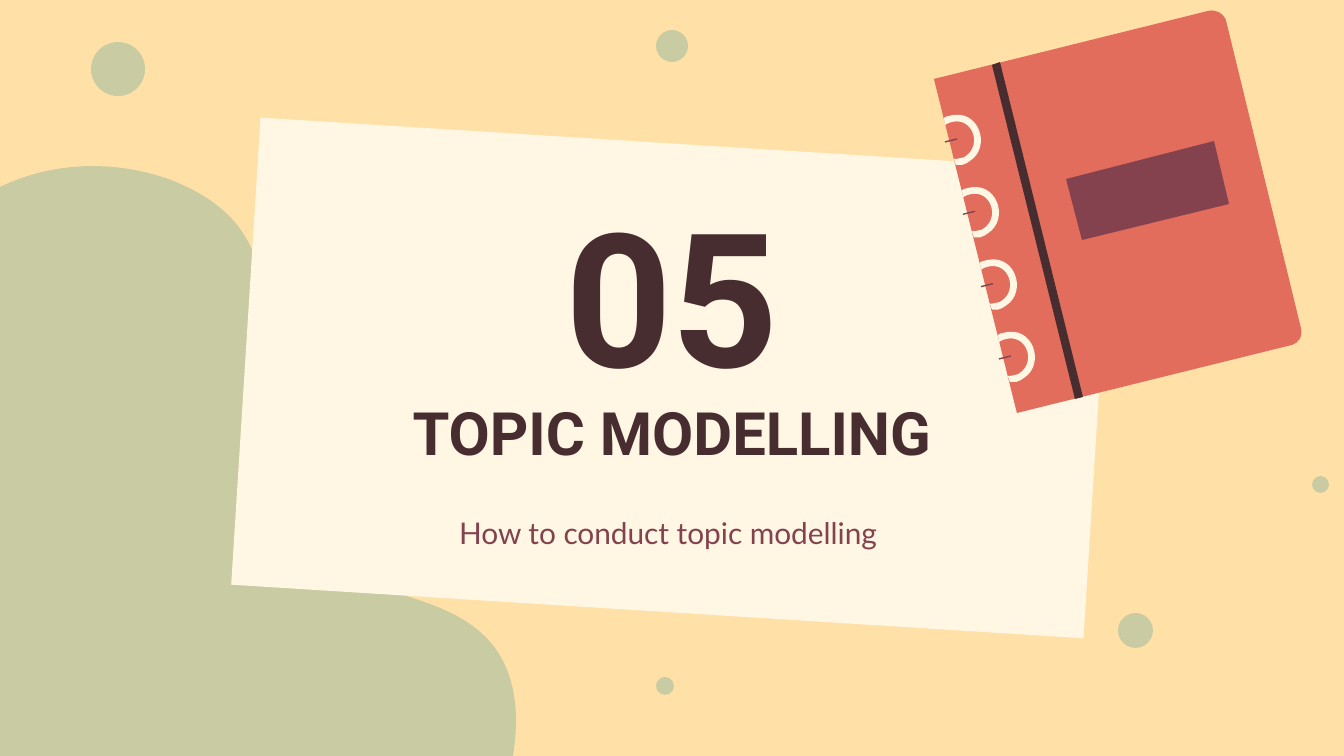
from dataclasses import dataclass

from lxml import etree
from pptx import Presentation
from pptx.dml.color import RGBColor
from pptx.enum.shapes import MSO_CONNECTOR, MSO_SHAPE
from pptx.enum.text import MSO_ANCHOR, PP_ALIGN
from pptx.oxml.ns import qn
from pptx.util import Pt

STRAIGHT = MSO_CONNECTOR.STRAIGHT
OVAL, RECTANGLE = MSO_SHAPE.OVAL, MSO_SHAPE.RECTANGLE
TOP, MIDDLE = MSO_ANCHOR.TOP, MSO_ANCHOR.MIDDLE
CENTER = PP_ALIGN.CENTER


@dataclass(frozen=True)
class Theme:
    background: str = "FFE1A8"
    sage: str = "C9CBA3"
    cream: str = "FFF6E4"
    coral: str = "E26D5C"
    dark: str = "472D30"
    plum: str = "83424D"
    heading_font: str = "Roboto"
    body_font: str = "Lato"
    number_size: int = 100
    title_size: int = 32
    subtitle_size: int = 16
    tick_width: float = 0.75


THEME = Theme()
SLIDE_SIZE = (1344, 756)
EMU_PER_PX = 914400 / 134.4
INSET = 13
CURVE_STEPS = 16

TEXTS = [
    ("TOPIC MODELLING", (349, 370, 646, 124), MIDDLE,
     {"name": THEME.heading_font, "size": Pt(THEME.title_size), "bold": True}, THEME.dark),
    ("05", (349, 197, 646, 192), MIDDLE,
     {"name": THEME.heading_font, "size": Pt(THEME.number_size), "bold": True}, THEME.dark),
    ("How to conduct topic modelling ", (349, 502, 646, 65), TOP,
     {"name": THEME.body_font, "size": Pt(THEME.subtitle_size), "bold": False}, THEME.plum),
]

DOTS = [
    (1118, 613, 35), (656, 677, 18), (656, 30, 32),
    (91, 42, 54), (413, 208, 18), (1312, 476, 17),
]
CARD_BOX, CARD_ROTATION = (245, 144, 854, 468), 3.6

BLOB = [
    [(516, 720)],
    [(516, 692), (509, 665), (492, 644)],
    [(448, 591), (363, 598), (313, 552)],
    [(276, 517), (269, 462), (269, 411)],
    [(269, 404), (269, 398), (269, 391)],
    [(270, 379), (270, 366), (270, 353)],
    [(270, 308), (265, 262), (238, 226)],
    [(221, 204), (196, 190), (171, 180)],
    [(116, 160), (54, 161), (0, 187)],
    [(0, 756)],
    [(513, 756)],
    [(515, 745), (516, 732), (516, 720)],
]
COVER = [
    [(934, 79)], [(1017, 413)], [(1292, 345)],
    [(1299, 343), (1303, 336), (1301, 328)],
    [(1226, 20)],
    [(1223, 13), (1216, 9), (1208, 11)],
    [(934, 79)],
]
STRAP = [[(992, 65)], [(1075, 399)], [(1083, 397)], [(1000, 62)], [(992, 65)]]
LABEL = [[(1066, 179)], [(1082, 240)], [(1229, 204)], [(1214, 141)], [(1066, 179)]]
RING = [
    [(944, 118)], [(945, 125)],
    [(948, 124), (949, 122), (952, 122)],
    [(973, 117), (982, 145), (966, 156)],
    [(965, 157), (963, 158), (961, 158)],
    [(958, 159), (956, 159), (954, 159)],
    [(956, 165)],
    [(957, 165), (960, 165), (962, 165)],
    [(965, 164), (968, 163), (970, 161)],
    [(992, 147), (979, 107), (949, 116)],
    [(947, 116), (945, 117), (944, 118)],
]
TICK = [(945, 142), (957, 139)]
RING_COUNT, RING_SPAN = 4, (54, 217)


def emu(*lengths):
    return [round(length * EMU_PER_PX) for length in lengths]


def color(value):
    return RGBColor.from_string(value)


def paint(shape, fill):
    shape.shadow.inherit = False
    shape.fill.solid()
    shape.fill.fore_color.rgb = color(fill)
    shape.line.fill.background()


def curve_points(controls):
    for index in range(1, CURVE_STEPS + 1):
        t = index / CURVE_STEPS
        weights = ((1 - t) ** 3, 3 * t * (1 - t) ** 2, 3 * t * t * (1 - t), t ** 3)
        yield tuple(
            round(sum(weight * point[axis] for weight, point in zip(weights, controls)))
            for axis in (0, 1)
        )


def trace(outline):
    points = []
    for step in outline:
        points += step if len(step) == 1 else curve_points([points[-1], *step])
    return points


def add_outline(slide, outline, fill, offset=(0, 0)):
    outline = [[emu(x + offset[0], y + offset[1]) for x, y in step] for step in outline]
    points = trace(outline)
    builder = slide.shapes.build_freeform(*points[0])
    builder.add_line_segments(points[1:], close=True)
    shape = builder.convert_to_shape()
    paint(shape, fill)

    contour = shape._element.spPr.find(".//" + qn("a:path"))
    for command in list(contour):
        contour.remove(command)
    for index, step in enumerate(outline):
        tag = "a:moveTo" if index == 0 else "a:lnTo" if len(step) == 1 else "a:cubicBezTo"
        command = etree.SubElement(contour, qn(tag))
        for x, y in step:
            etree.SubElement(command, qn("a:pt"), x=str(x - shape.left), y=str(y - shape.top))
    etree.SubElement(contour, qn("a:close"))


def add_preset(slide, kind, box, fill, rotation=0):
    shape = slide.shapes.add_shape(kind, *emu(*box))
    shape.rotation = rotation
    paint(shape, fill)


def add_tick(slide, offset):
    ends = [value + shift for point in TICK for value, shift in zip(point, offset)]
    connector = slide.shapes.add_connector(STRAIGHT, *emu(*ends))
    connector.line.color.rgb = color(THEME.plum)
    connector.line.width = Pt(THEME.tick_width)
    etree.SubElement(connector._element.spPr, qn("a:effectLst"))


def add_text(slide, text, box, anchor, font_format, font_color):
    frame = slide.shapes.add_textbox(*emu(*box)).text_frame
    inset = emu(INSET)[0]
    frame_format = {"word_wrap": True, "vertical_anchor": anchor}
    for side in ("left", "top", "right", "bottom"):
        frame_format[f"margin_{side}"] = inset
    for name, value in frame_format.items():
        setattr(frame, name, value)
    paragraph = frame.paragraphs[0]
    paragraph.alignment = CENTER
    run = paragraph.add_run()
    run.text = text
    for name, value in font_format.items():
        setattr(run.font, name, value)
    run.font.color.rgb = color(font_color)


def add_notebook(slide):
    for outline, fill in ((COVER, THEME.coral), (STRAP, THEME.dark), (LABEL, THEME.plum)):
        add_outline(slide, outline, fill)
    offsets = [
        [span * index / (RING_COUNT - 1) for span in RING_SPAN] for index in range(RING_COUNT)
    ]
    for offset in offsets:
        add_outline(slide, RING, THEME.cream, offset)
    for offset in offsets:
        add_tick(slide, offset)


def main():
    presentation = Presentation()
    presentation.slide_width, presentation.slide_height = emu(*SLIDE_SIZE)
    slide = presentation.slides.add_slide(presentation.slide_layouts[6])
    slide.background.fill.solid()
    slide.background.fill.fore_color.rgb = color(THEME.background)

    add_outline(slide, BLOB, THEME.sage)
    for left, top, diameter in DOTS:
        add_preset(slide, OVAL, (left, top, diameter, diameter), THEME.sage)
    add_preset(slide, RECTANGLE, CARD_BOX, THEME.cream, CARD_ROTATION)
    for entry in TEXTS:
        add_text(slide, *entry)
    add_notebook(slide)
    presentation.save("out.pptx")


if __name__ == "__main__":
    main()
